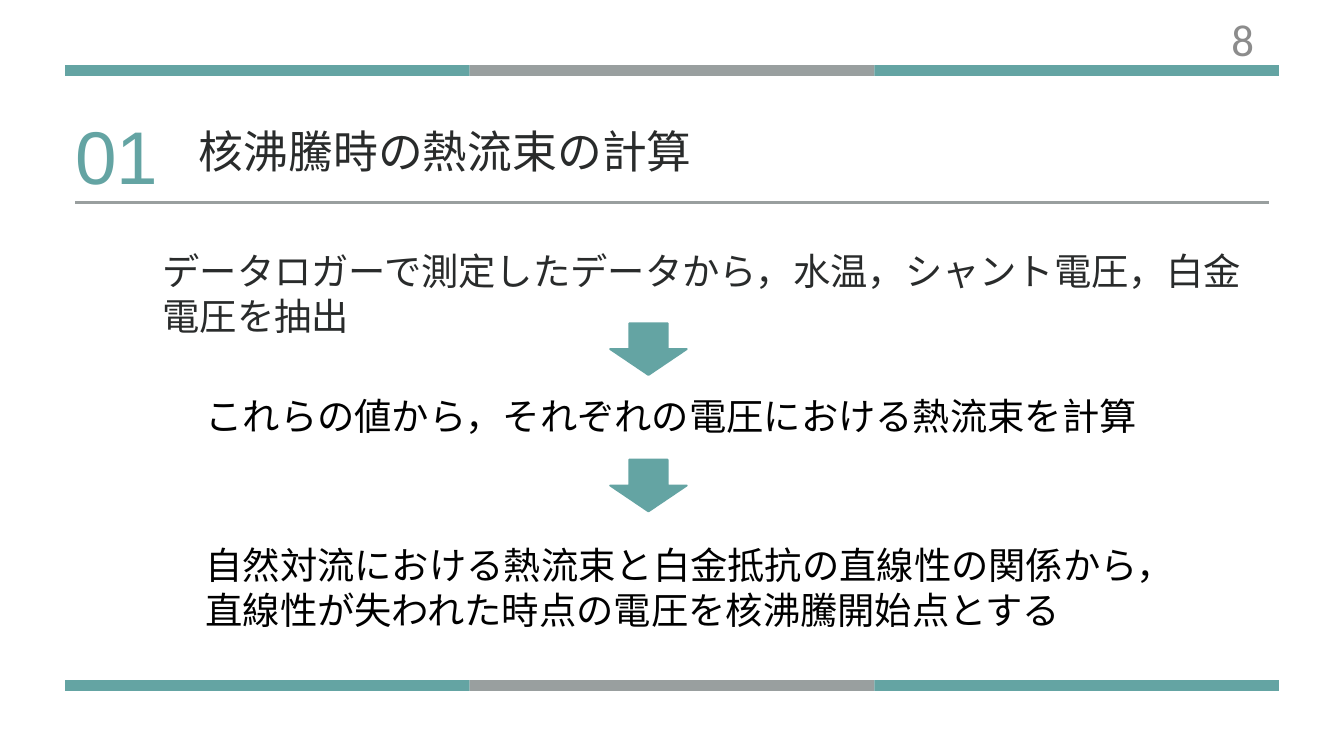
from lxml.etree import SubElement
from pptx import Presentation
from pptx.dml.color import RGBColor
from pptx.enum.shapes import MSO_CONNECTOR, MSO_SHAPE
from pptx.enum.text import MSO_ANCHOR, PP_ALIGN
from pptx.oxml.ns import qn
from pptx.util import Pt

PX = 9144
TEAL = RGBColor(0x64, 0xA4, 0xA3)
GRAY = RGBColor(0x99, 0x9F, 0x9F)
DARK = RGBColor(0x29, 0x2B, 0x2B)
BLACK = RGBColor(0, 0, 0)
PALE = RGBColor(0x8C, 0x8C, 0x8C)
CJK = "Noto Sans CJK SC"


def scale(*box):
    return [n * PX for n in box]


def add_text(slide, box, text, size, color, font=CJK, space=None,
             inset=True, align=PP_ALIGN.LEFT, anchor=MSO_ANCHOR.TOP):
    frame = slide.shapes.add_textbox(*scale(*box)).text_frame
    frame.word_wrap = True
    frame.vertical_anchor = anchor
    if not inset:
        frame.margin_left = frame.margin_right = 0
        frame.margin_top = frame.margin_bottom = 0
    para = frame.paragraphs[0]
    para.alignment = align
    if space:
        para.line_spacing = Pt(space)
    run = para.add_run()
    run.text = text
    run.font.size = Pt(size)
    run.font.color.rgb = color
    run.font.name = font
    SubElement(run.font._element, qn("a:ea")).set("typeface", font)


def add_shape(slide, kind, box, color):
    shape = slide.shapes.add_shape(kind, *scale(*box))
    shape.shadow.inherit = False
    shape.fill.solid()
    shape.fill.fore_color.rgb = color
    shape.line.fill.background()
    return shape


def add_band(slide, left, top, width, height):
    part = width // 3
    for i, color in enumerate((TEAL, GRAY, TEAL)):
        box = (left + i * part, top, part, height)
        add_shape(slide, MSO_SHAPE.RECTANGLE, box, color)


def add_head(slide, left, top, width, height, number, title):
    base = top + height
    rule = slide.shapes.add_connector(
        MSO_CONNECTOR.STRAIGHT, *scale(left, base, left + width, base))
    rule.line.color.rgb = GRAY
    rule.line.width = Pt(3)
    SubElement(rule._element.spPr, qn("a:effectLst"))
    add_text(slide, (left + 184, top + 42, 745, 80), title, 48, DARK,
             space=58.8, inset=False)
    add_text(slide, (left, top, 291, 153), number, 80, TEAL, "Arial",
             space=112, inset=False)


def add_steps(slide, left, top):
    steps = (
        (0, 0, 1645, 145, DARK,
         "データロガーで測定したデータから，水温，シャント電圧，白金電圧を抽出"),
        (64, 216, 1433, 77, BLACK,
         "これらの値から，それぞれの電圧における熱流束を計算"),
        (64, 438, 1433, 145, BLACK,
         "自然対流における熱流束と白金抵抗の直線性の関係から，"
         "直線性が失われた時点の電圧を核沸騰開始点とする"),
    )
    for x, y, width, height, color, text in steps:
        add_text(slide, (left + x, top + y, width, height), text, 40, color)
    for y in (117, 320):
        box = (left + 676, top + y, 114, 77)
        arrow = add_shape(slide, MSO_SHAPE.DOWN_ARROW, box, TEAL)
        arrow.line.color.rgb = TEAL
        arrow.line.width = Pt(2)


def main():
    deck = Presentation()
    deck.slide_width, deck.slide_height = scale(2000, 1125)
    slide = deck.slides.add_slide(deck.slide_layouts[6])
    for top in (97, 1012):
        add_band(slide, 97, top, 1806, 16)
    add_head(slide, 112, 141, 1776, 160, "01", "核沸騰時の熱流束の計算")
    add_text(slide, (1643, 38, 233, 40), "8", 48, PALE, "Calibri",
             align=PP_ALIGN.RIGHT, anchor=MSO_ANCHOR.MIDDLE)
    add_steps(slide, 232, 364)
    deck.save("out.pptx")


if __name__ == "__main__":
    main()
